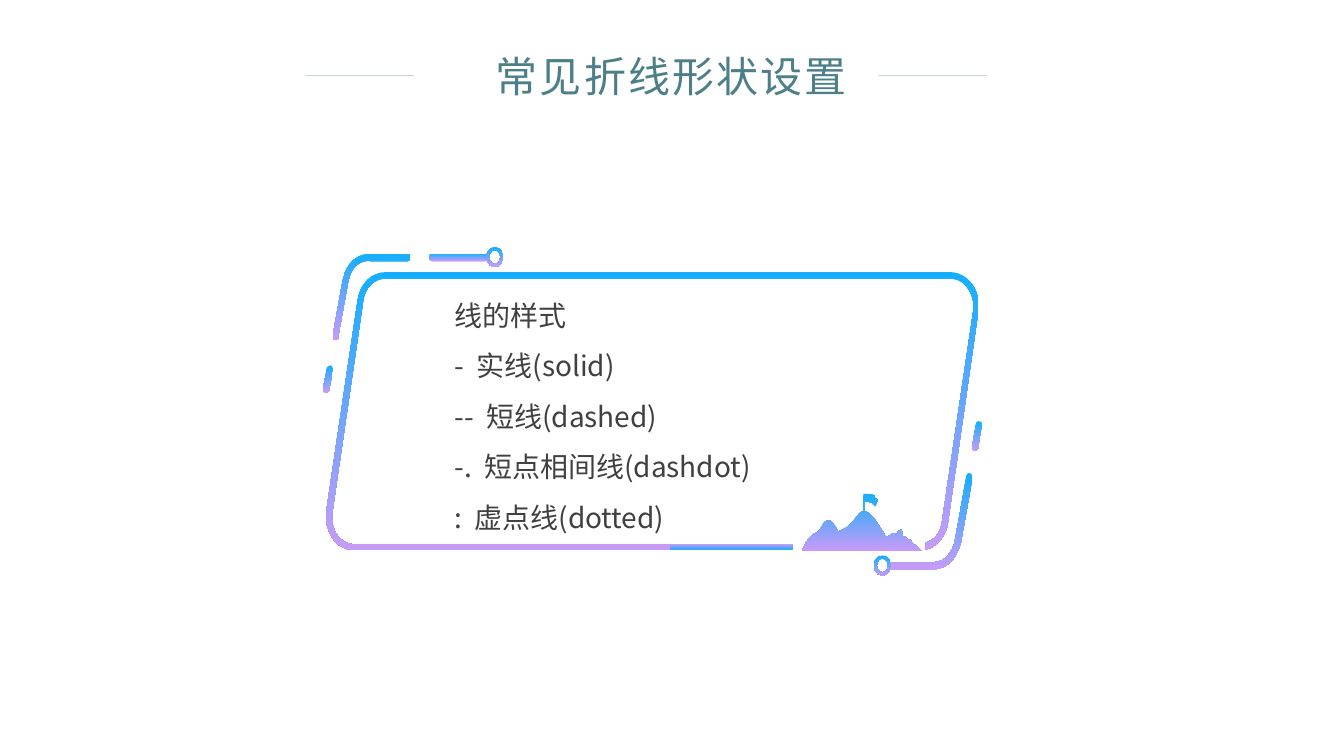
from lxml import etree
from pptx import Presentation
from pptx import util as u
from pptx.dml.color import RGBColor
from pptx.enum import shapes, text
from pptx.oxml.ns import qn

TEAL, BLUE, MAUVE, GREY = "4D7F89", "13AFFE", "C89BF8", "404040"
CJK = "Noto Sans CJK SC"
STEPS = 8  # straight pieces per curve

# Outlines: a pair is a straight line to a point, six numbers are a curve
FRAME = [
    (19.3, 5.65), (19.19, 5.5, 19.04, 5.4, 18.86, 5.4), (7.64, 5.4),
    (7.38, 5.4, 7.15, 5.62, 7.1, 5.94), (6.48, 10.11),
    (6.45, 10.31, 6.49, 10.52, 6.6, 10.68),
    (6.7, 10.83, 6.87, 10.92, 7.03, 10.92), (14.16, 10.92), (14.21, 10.8),
    (7.03, 10.8), (6.9, 10.8, 6.77, 10.73, 6.68, 10.6),
    (6.6, 10.47, 6.57, 10.3, 6.6, 10.14), (7.21, 5.96),
    (7.24, 5.72, 7.43, 5.53, 7.64, 5.53), (18.86, 5.53),
    (19, 5.53, 19.13, 5.6, 19.21, 5.73),
    (19.3, 5.86, 19.34, 6.03, 19.31, 6.19), (18.69, 10.37),
    (18.66, 10.58, 18.53, 10.73, 18.36, 10.77), (18.36, 10.91),
    (18.58, 10.86, 18.76, 10.66, 18.81, 10.39), (19.41, 6.21),
    (19.44, 6.02, 19.41, 5.81, 19.3, 5.65)]
LOWER = [
    (18.51, 11.3), (17.69, 11.3), (17.66, 11.3, 17.63, 11.27, 17.63, 11.23),
    (17.63, 11.18, 17.66, 11.16, 17.69, 11.16), (18.51, 11.16),
    (18.86, 11.16, 18.95, 10.75, 18.95, 10.72), (19.18, 9.44),
    (19.19, 9.4, 19.22, 9.38, 19.25, 9.39),
    (19.28, 9.4, 19.3, 9.44, 19.3, 9.47), (19.07, 10.76),
    (19.03, 10.94, 18.87, 11.3, 18.51, 11.3)]
UPPER = [
    (6.66, 6.75), (6.64, 6.75), (6.61, 6.74, 6.6, 6.71, 6.6, 6.67),
    (6.8, 5.57), (6.9, 5.03, 7.31, 5.03, 7.36, 5.03), (8.09, 5.03),
    (8.12, 5.03, 8.15, 5.06, 8.15, 5.11),
    (8.15, 5.14, 8.12, 5.18, 8.09, 5.18), (7.35, 5.18),
    (7.33, 5.17, 6.99, 5.14, 6.91, 5.59), (6.71, 6.69),
    (6.71, 6.73, 6.68, 6.75, 6.66, 6.75)]
RIGHT = [
    (19.35, 8.94), (19.33, 8.94), (19.3, 8.93, 19.28, 8.89, 19.29, 8.86),
    (19.37, 8.41), (19.38, 8.37, 19.41, 8.35, 19.43, 8.36),
    (19.47, 8.36, 19.49, 8.41, 19.48, 8.44), (19.41, 8.88),
    (19.4, 8.92, 19.38, 8.94, 19.35, 8.94)]
LEFT = [
    (6.47, 7.79), (6.46, 7.79), (6.43, 7.78, 6.4, 7.75, 6.41, 7.71),
    (6.49, 7.31), (6.49, 7.28, 6.53, 7.25, 6.56, 7.25),
    (6.59, 7.27, 6.61, 7.3, 6.61, 7.33), (6.53, 7.74),
    (6.52, 7.77, 6.5, 7.79, 6.47, 7.79)]
HILLS = [
    (18.29, 10.93), (18.25, 10.89), (18.22, 10.86, 18.16, 10.81, 18.1, 10.77),
    (18.06, 10.7), (18.04, 10.72), (17.99, 10.68), (17.96, 10.65),
    (17.89, 10.63), (17.91, 10.6, 17.9, 10.5, 17.88, 10.5),
    (17.86, 10.5, 17.86, 10.58, 17.87, 10.61), (17.85, 10.61),
    (17.86, 10.57, 17.84, 10.52, 17.83, 10.53), (17.8, 10.58),
    (17.76, 10.58), (17.71, 10.58, 17.65, 10.62, 17.58, 10.67),
    (17.53, 10.56), (17.46, 10.46), (17.37, 10.3, 17.25, 10.15, 17.15, 10.14),
    (17.15, 9.96), (17.24, 9.95, 17.29, 9.97, 17.32, 9.98), (17.32, 10),
    (17.37, 10.04), (17.42, 9.92), (17.36, 9.87), (17.36, 9.83),
    (17.3, 9.79, 17.18, 9.8, 17.15, 9.8), (17.14, 9.79), (17.14, 10.14),
    (17.01, 10.15, 16.95, 10.42, 16.72, 10.51), (16.63, 10.55),
    (16.57, 10.44), (16.51, 10.36), (16.45, 10.32),
    (16.32, 10.32, 16.3, 10.54, 16.2, 10.57),
    (16.02, 10.63, 15.92, 10.93, 15.92, 10.93)]


def color(code):
    return RGBColor.from_string(code)


def paint(shape):
    """Fill with the blue to mauve fade, without line or shadow."""
    shape.shadow.inherit = False
    shape.line.fill.background()
    shape.fill.gradient()
    shape.fill.gradient_angle = 270
    for stop, code in zip(shape.fill.gradient_stops, (BLUE, MAUVE)):
        stop.color.rgb = color(code)


def trace(parts):
    """Turn lines and curves into points."""
    dots = [parts[0]]
    for part in parts[1:]:
        if len(part) == 2:
            dots.append(part)
            continue
        ctrl = [dots[-1], part[:2], part[2:4], part[4:]]
        for i in range(1, STEPS + 1):
            t = i / STEPS
            mix = ((1 - t) ** 3, 3 * t * (1 - t) ** 2, 3 * t * t * (1 - t), t ** 3)
            dots.append(tuple(sum(m * p[k] for m, p in zip(mix, ctrl)) for k in (0, 1)))
    return [(u.Inches(x), u.Inches(y)) for x, y in dots]


def add_free(slide, parts):
    dots = trace(parts)
    pen = slide.shapes.build_freeform(*dots[0])
    pen.add_line_segments(dots[1:], close=True)
    paint(pen.convert_to_shape())


def add_form(slide, kind, box, adj=None):
    shape = slide.shapes.add_shape(kind, *map(u.Inches, box))
    if adj is not None:
        shape.adjustments[0] = adj
    paint(shape)
    return shape


def add_rule(slide, x, y, width):
    line = slide.shapes.add_connector(
        shapes.MSO_CONNECTOR.STRAIGHT, *map(u.Inches, (x, y, x + width, y)))
    line.line.width = u.Pt(1)
    line.line.color.rgb = color(TEAL)
    props = line._element.spPr
    hue = props.find(".//" + qn("a:srgbClr"))
    etree.SubElement(hue, qn("a:alpha")).set("val", "50000")
    etree.SubElement(props, qn("a:effectLst"))


def add_run(para, words, size, code, face, gap=0):
    run = para.add_run()
    run.text = words
    run.font.size = u.Pt(size)
    run.font.name = face
    run.font.color.rgb = color(code)
    props = run._r.get_or_add_rPr()
    etree.SubElement(props, qn("a:ea")).set("typeface", CJK)
    if gap:
        props.set("spc", str(gap * 100))


def add_title(slide, words):
    title = slide.shapes.title
    title.left, title.top, title.width, title.height = map(
        u.Inches, (8.78, 0.95, 9.08, 1.11))
    frame = title.text_frame
    frame.auto_size = text.MSO_AUTO_SIZE.NONE
    frame.vertical_anchor = text.MSO_ANCHOR.MIDDLE
    para = frame.paragraphs[0]
    para.alignment = text.PP_ALIGN.CENTER
    add_run(para, words, 60, TEAL, "Calibri", 3)


def add_list(slide, rows):
    frame = slide.shapes.add_textbox(
        *map(u.Inches, (8.92, 5.77, 8.21, 4.64))).text_frame
    frame.word_wrap = True
    frame.vertical_anchor = text.MSO_ANCHOR.MIDDLE
    for i, (mark, words) in enumerate(rows):
        para = frame.add_paragraph() if i else frame.paragraphs[0]
        para.alignment = text.PP_ALIGN.JUSTIFY
        para.line_spacing = 1.5
        if mark:
            add_run(para, mark, 40, GREY, CJK)
            add_run(para, " ", 40, GREY, CJK, 9)  # widened gap
        add_run(para, words, 40, GREY, CJK)


def main():
    deck = Presentation()
    deck.slide_width, deck.slide_height = u.Inches(26.67), u.Inches(15)
    slide = deck.slides.add_slide(deck.slide_layouts[5])
    kinds = shapes.MSO_SHAPE

    # Heading between two thin rules
    for x in (6.06, 17.43):
        add_rule(slide, x, 1.5, 2.15)
    add_title(slide, "常见折线形状设置")

    # Slanted frame with its accents
    for parts in (FRAME, LOWER, RIGHT, LEFT, UPPER):
        add_free(slide, parts)
    add_form(slide, kinds.ROUNDED_RECTANGLE, (8.52, 5.03, 1.17, 0.15), 0.4)
    for x, y in ((17.34, 11.02), (9.65, 4.9)):
        add_form(slide, kinds.DONUT, (x, y, 0.34, 0.4), 0.18)
    add_free(slide, HILLS)
    add_form(slide, kinds.RECTANGLE, (13.29, 10.79, 2.45, 0.13)).rotation = 180

    # Line styles
    add_list(slide, [
        ("", "线的样式"), ("-", "实线(solid)"), ("--", "短线(dashed)"),
        ("-.", "短点相间线(dashdot)"), (":", "虚点线(dotted)")])
    deck.save("out.pptx")


if __name__ == "__main__":
    main()
